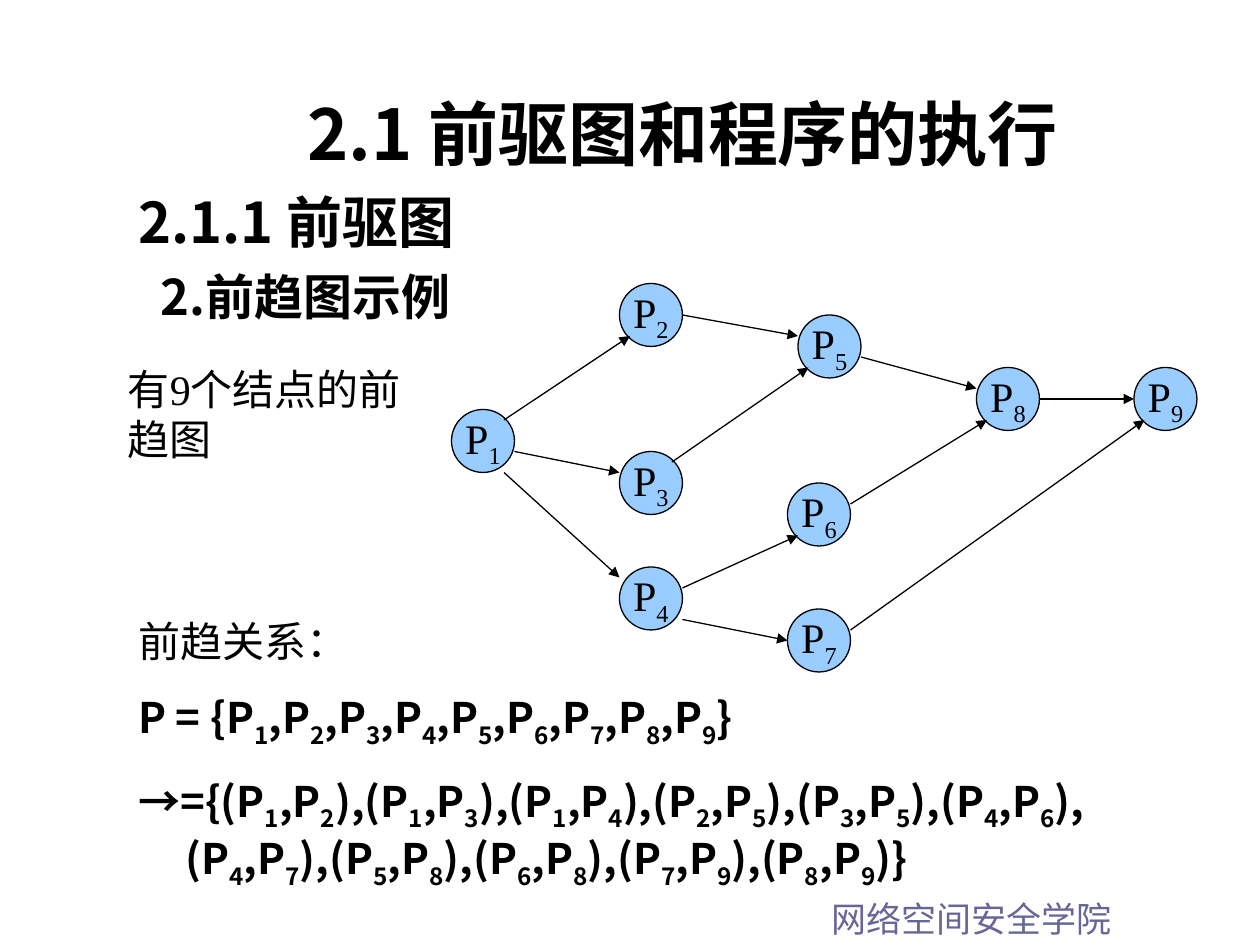
import itertools

import lxml.etree
import pptx
import pptx.dml.color
import pptx.enum.shapes
import pptx.enum.text
import pptx.oxml.ns
import pptx.util

EMU_PER_PX = 9525
ALIGN = pptx.enum.text.PP_ALIGN
THEME = {
    "ink": "000000", "node": "99CCFF", "footer": "666699",
    "serif": "Times New Roman", "sans": "Noto Sans CJK SC", "heading": "Noto Sans CJK JP",
    "title_size": 40, "section_size": 32, "topic_size": 28, "text_size": 24, "footer_size": 20,
    "line": 0.75, "subscript": "-25000",
}
NODE_SIZE = 48
NODES = {
    1: (344, 312), 2: (472, 216), 3: (472, 344), 4: (472, 432), 5: (608, 240),
    6: (600, 368), 7: (600, 464), 8: (744, 280), 9: (864, 280),
}
EDGES = {
    (1, 2): (384, 320, 480, 256), (1, 3): (392, 344, 472, 360),
    (1, 4): (384, 360, 472, 440), (2, 5): (520, 240, 608, 256),
    (3, 5): (512, 352, 616, 280), (4, 6): (520, 448, 608, 408),
    (4, 7): (520, 472, 600, 488), (5, 8): (656, 272, 744, 296),
    (6, 8): (648, 384, 752, 320), (7, 9): (648, 480, 872, 320),
    (8, 9): (792, 304, 864, 304),
}


def px(*lengths):
    return [pptx.util.Emu(length * EMU_PER_PX) for length in lengths]


def color(name):
    return pptx.dml.color.RGBColor.from_string(THEME[name])


def set_values(target, values):
    for name, value in values.items():
        setattr(target, name, value)


def add_xml(parent, tag, **values):
    return lxml.etree.SubElement(parent, pptx.oxml.ns.qn(tag), **values)


def add_span(para, text, size, latin="serif", asian="sans", ink="ink", bold=False, subscript=False):
    span = para.add_run()
    span.text = text
    span.font.color.rgb = color(ink)
    set_values(span.font, {"size": pptx.util.Pt(THEME[size]), "name": THEME[latin], "bold": bold})
    properties = span.font._element
    add_xml(properties, "a:ea", typeface=THEME[asian])
    if subscript:
        properties.set("baseline", THEME["subscript"])


def add_indexed(para, text, **style):
    for is_index, letters in itertools.groupby(text, str.isdigit):
        add_span(para, "".join(letters), "text_size", subscript=is_index, **style)


def format_para(para, before=0, align=ALIGN.LEFT, spacing=None, hanging=0, first=0):
    set_values(para, {"space_before": pptx.util.Pt(before), "alignment": align, "line_spacing": spacing})
    if hanging:
        left, indent = px(hanging, first - hanging)
        properties = para._p.get_or_add_pPr()
        properties.set("marL", str(left))
        properties.set("indent", str(indent))
    return para


def add_box(page, *place):
    box = page.shapes.add_textbox(*px(*place))
    box.text_frame.word_wrap = True
    return box.text_frame


def add_node(group, number, left, top):
    node = group.shapes.add_shape(
        pptx.enum.shapes.MSO_SHAPE.OVAL, *px(left, top, NODE_SIZE, NODE_SIZE))
    node.shadow.inherit = False
    node.fill.solid()
    node.fill.fore_color.rgb = color("node")
    node.line.color.rgb = color("ink")
    node.line.width = pptx.util.Pt(THEME["line"])
    frame = node.text_frame
    set_values(frame, {"word_wrap": False, "vertical_anchor": pptx.enum.text.MSO_ANCHOR.MIDDLE})
    add_indexed(format_para(frame.paragraphs[0], align=ALIGN.CENTER), f"P{number}")


def add_arrow(group, *ends):
    arrow = group.shapes.add_connector(pptx.enum.shapes.MSO_CONNECTOR.STRAIGHT, *px(*ends))
    arrow.line.color.rgb = color("ink")
    arrow.line.width = pptx.util.Pt(THEME["line"])
    add_xml(arrow.line._get_or_add_ln(), "a:tailEnd", type="triangle")
    add_xml(arrow._element.spPr, "a:effectLst")


def add_graph(page):
    group = page.shapes.add_group_shape()
    for number, place in NODES.items():
        add_node(group, number, *place)
    for ends in EDGES.values():
        add_arrow(group, *ends)


def add_headings(page):
    title = add_box(page, 136, 64, 768, 74).paragraphs[0]
    add_span(format_para(title, before=25, align=ALIGN.CENTER), "2.1 前驱图和程序的执行",
             "title_size", latin="heading", asian="heading", bold=True)
    frame = add_box(page, 96, 128, 824, 125)
    section = format_para(frame.paragraphs[0], spacing=1.2, hanging=48)
    add_span(section, "2.1.1 前驱图", "section_size", latin="sans", bold=True)
    topic = format_para(frame.add_paragraph(), spacing=1.2, hanging=48, first=17)
    add_span(topic, "2.前趋图示例", "topic_size", latin="sans", bold=True)


def add_relations(page):
    frame = add_box(page, 96, 464, 808, 232)
    label = format_para(frame.paragraphs[0], before=6, hanging=36)
    add_span(label, "前趋关系：", "text_size")
    members = ",".join(f"P{number}" for number in NODES)
    pairs = ",".join(f"(P{start},P{end})" for start, end in EDGES)
    for text in (f"P = {{{members}}}", f"→={{{pairs}}}"):
        para = format_para(frame.add_paragraph(), before=15, align=ALIGN.JUSTIFY, hanging=36)
        add_indexed(para, text, latin="sans", bold=True)


def main():
    deck = pptx.Presentation()
    width, height = px(960, 720)
    set_values(deck, {"slide_width": width, "slide_height": height})
    page = deck.slides.add_slide(deck.slide_layouts[6])
    footer = add_box(page, 624, 679, 336, 42).paragraphs[0]
    add_span(format_para(footer, before=12.5), "网络空间安全学院", "footer_size",
             latin="heading", asian="heading", ink="footer")
    add_headings(page)
    add_graph(page)
    add_relations(page)
    caption = add_box(page, 88, 272, 232, 86).paragraphs[0]
    add_span(format_para(caption, before=15), "有9个结点的前趋图", "text_size")
    deck.save("out.pptx")


if __name__ == "__main__":
    main()
